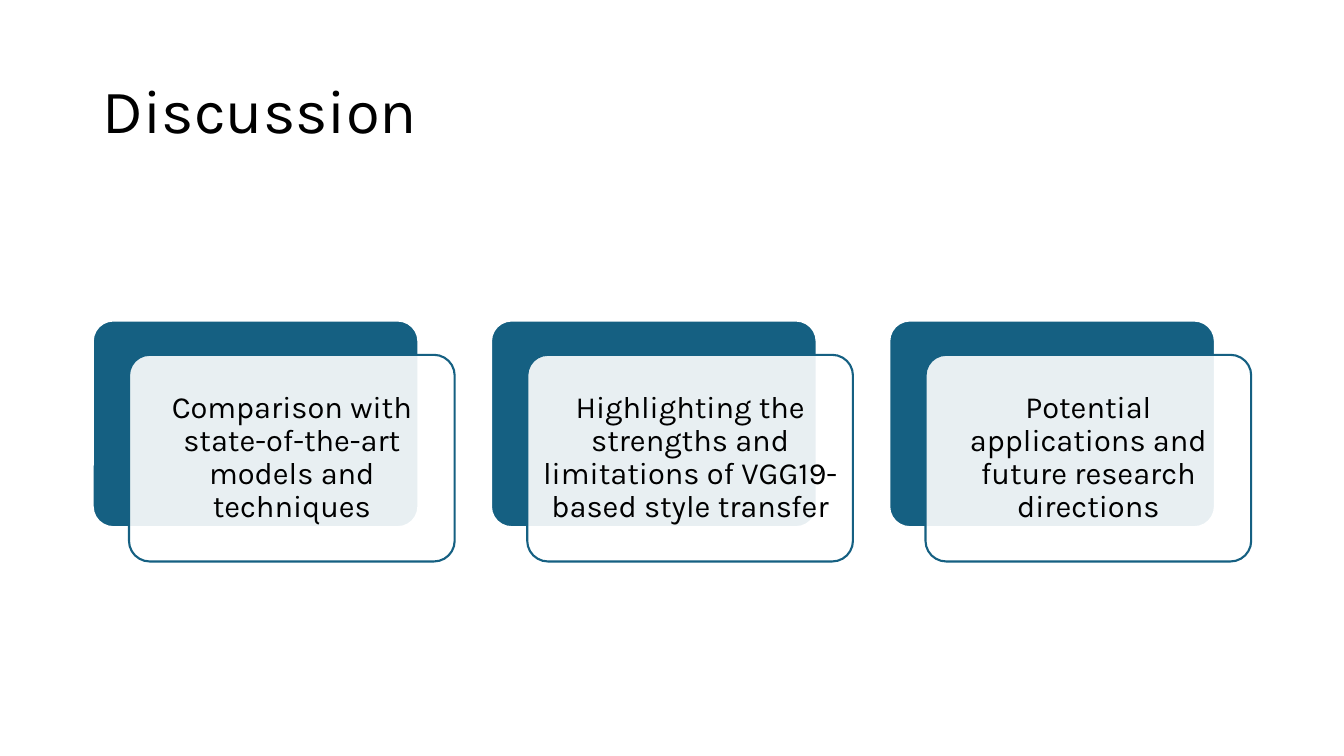
import dataclasses

import lxml.etree
import pptx
import pptx.dml.color
import pptx.enum.shapes
import pptx.enum.text
import pptx.oxml.ns
import pptx.shapes.autoshape
import pptx.slide
import pptx.text.text
import pptx.util

Inches = pptx.util.Inches
Pt = pptx.util.Pt
RGBColor = pptx.dml.color.RGBColor

WHITE = RGBColor(0xFF, 0xFF, 0xFF)
BLACK = RGBColor(0x00, 0x00, 0x00)
TEAL = RGBColor(0x15, 0x60, 0x82)
FONT = "Karla"

CARD_LEFT, CARD_TOP = 0.92, 3.18
CARD_WIDTH, CARD_HEIGHT = 3.23, 2.05
CARD_PITCH = 3.95
FRONT_DX, FRONT_DY = 0.36, 0.34
FRONT_OPACITY = 90
TEXT_INSET = 0.09


@dataclasses.dataclass(frozen=True)
class Card:
    column: int
    text: str

    @property
    def left(self) -> float:
        return CARD_LEFT + self.column * CARD_PITCH


CARDS = [
    Card(0, "Comparison with state-of-the-art models and techniques"),
    Card(1, "Highlighting the strengths and limitations of VGG19-based style transfer"),
    Card(2, "Potential applications and future research directions"),
]


def write_text(
    tf: pptx.text.text.TextFrame,
    text: str,
    size: int,
    align: pptx.enum.text.PP_ALIGN,
) -> None:
    tf.word_wrap = True
    tf.vertical_anchor = pptx.enum.text.MSO_ANCHOR.MIDDLE
    tf.text = text
    p = tf.paragraphs[0]
    p.alignment = align
    p.line_spacing = 0.9
    r = p.runs[0]
    r.font.name = FONT
    r.font.size = Pt(size)
    r.font.color.rgb = BLACK


def add_panel(
    s: pptx.slide.Slide, left: float, top: float, fill: RGBColor, line: RGBColor
) -> pptx.shapes.autoshape.Shape:
    sp = s.shapes.add_shape(
        pptx.enum.shapes.MSO_SHAPE.ROUNDED_RECTANGLE,
        Inches(left), Inches(top), Inches(CARD_WIDTH), Inches(CARD_HEIGHT),
    )
    sp.adjustments[0] = 0.1
    sp.shadow.inherit = False
    sp.fill.solid()
    sp.fill.fore_color.rgb = fill
    sp.line.color.rgb = line
    sp.line.width = Pt(1.5)
    return sp


def set_opacity(sp: pptx.shapes.autoshape.Shape, percent: int) -> None:
    qn = pptx.oxml.ns.qn
    color = sp.element.spPr.find(qn("a:solidFill")).find(qn("a:srgbClr"))
    lxml.etree.SubElement(color, qn("a:alpha")).set("val", str(percent * 1000))


def add_card(s: pptx.slide.Slide, card: Card) -> None:
    add_panel(s, card.left, CARD_TOP, TEAL, WHITE)
    front = add_panel(s, card.left + FRONT_DX, CARD_TOP + FRONT_DY, WHITE, TEAL)
    set_opacity(front, FRONT_OPACITY)
    tf = front.text_frame
    tf.margin_left = tf.margin_right = Inches(TEXT_INSET)
    tf.margin_top = tf.margin_bottom = Inches(TEXT_INSET)
    write_text(tf, card.text, 22, pptx.enum.text.PP_ALIGN.CENTER)


def add_title(s: pptx.slide.Slide, text: str) -> None:
    sp = s.shapes.add_textbox(Inches(0.92), Inches(0.4), Inches(11.5), Inches(1.45))
    write_text(sp.text_frame, text, 44, pptx.enum.text.PP_ALIGN.LEFT)


def main() -> None:
    prs = pptx.Presentation()
    prs.slide_width = Inches(13.33)
    prs.slide_height = Inches(7.5)
    s = prs.slides.add_slide(prs.slide_layouts[6])
    add_title(s, "Discussion")
    for card in CARDS:
        add_card(s, card)
    prs.save("out.pptx")


if __name__ == "__main__":
    main()
